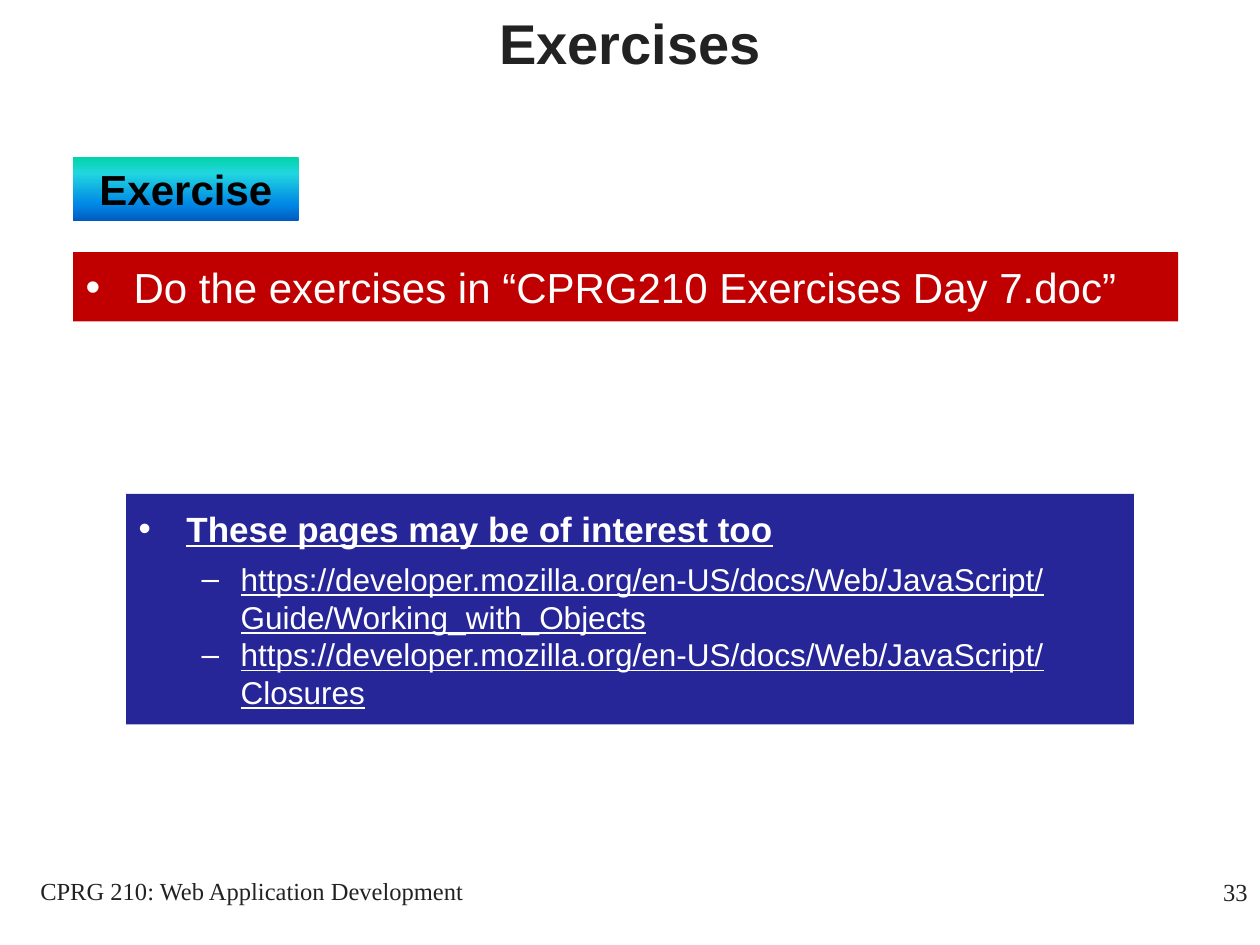
"""Build the exercises slide."""
from lxml import etree
from pptx import Presentation
from pptx.dml.color import RGBColor
from pptx.enum.shapes import MSO_SHAPE
from pptx.enum.text import MSO_ANCHOR, MSO_AUTO_SIZE, PP_ALIGN
from pptx.oxml.ns import qn
from pptx.util import Inches, Pt

RECT = MSO_SHAPE.RECTANGLE
TOP, MIDDLE = MSO_ANCHOR.TOP, MSO_ANCHOR.MIDDLE
FIXED = MSO_AUTO_SIZE.NONE
LEFT, CENTER, RIGHT = PP_ALIGN.LEFT, PP_ALIGN.CENTER, PP_ALIGN.RIGHT
WHITE = RGBColor(0xFF, 0xFF, 0xFF)
BLACK = RGBColor(0, 0, 0)
DARK = RGBColor(0x22, 0x22, 0x22)
RED = RGBColor(0xC0, 0, 0)
NAVY = RGBColor(0x26, 0x26, 0x99)
STOPS = [(0, "03D4A8"), (25, "21D6E0"), (75, "0087E6"), (100, "005CBF")]
DOCS = "https://developer.mozilla.org/en-US/docs/Web/JavaScript/"


class Deck:
    """Hold the style and the current slide."""

    sans, serif = "Arial", "Times New Roman"

    def __init__(self):
        self.file = Presentation()
        self.file.slide_width, self.file.slide_height = Inches(10), Inches(7.5)
        self.slide = self.file.slides.add_slide(self.file.slide_layouts[3])

    def place(self, shape, box, anchor):
        """Move a shape and prepare its text frame."""
        shape.left, shape.top, shape.width, shape.height = map(Inches, box)
        frame = shape.text_frame
        frame.word_wrap, frame.auto_size = True, FIXED
        frame.vertical_anchor = anchor
        return frame

    def add_text(self, para, text, size, color, align, font=sans, bold=False, under=False):
        """Add one styled run to a paragraph."""
        para.alignment = align
        run = para.add_run()
        run.text = text
        face = run.font
        face.name, face.size, face.bold, face.underline = font, Pt(size), bold, under
        face.color.rgb = color

    def title(self, text, box):
        """Fill the title placeholder."""
        frame = self.place(self.slide.shapes.title, box, MIDDLE)
        self.add_text(frame.paragraphs[0], text, 32, DARK, CENTER, bold=True)

    def bullets(self, slot, box, fill, items):
        """Fill a body placeholder with a bulleted list."""
        shape = self.slide.placeholders[slot]
        frame = self.place(shape, box, MIDDLE)
        shape.fill.solid()
        shape.fill.fore_color.rgb = fill
        for i, (level, text, size, bold, under) in enumerate(items):
            para = frame.add_paragraph() if i else frame.paragraphs[0]
            para.level = level
            mark, left, hang = [("•", 0.38, 0.38), ("–", 0.81, 0.31)][level]
            props = para._p.get_or_add_pPr()
            props.set("marL", str(Inches(left)))
            props.set("indent", str(-Inches(hang)))
            etree.SubElement(props, qn("a:buChar"), char=mark)
            para.space_before = Pt(0)
            para.space_after = Pt(0 if level or len(items) == 1 else 6)
            self.add_text(para, text, size, WHITE, LEFT, bold=bold, under=under)

    def label(self, text, box):
        """Add a gradient label."""
        shape = self.slide.shapes.add_shape(RECT, *map(Inches, box))
        shape.shadow.inherit = False
        shape.line.fill.background()
        shape.fill.gradient()
        shape.fill.gradient_angle = 270
        stops = shape._element.spPr.find(qn("a:gradFill")).find(qn("a:gsLst"))
        for stop in list(stops):
            stops.remove(stop)
        for pos, color in STOPS:
            stop = etree.SubElement(stops, qn("a:gs"), pos=str(pos * 1000))
            etree.SubElement(stop, qn("a:srgbClr"), val=color)
        frame = self.place(shape, box, TOP)
        self.add_text(frame.paragraphs[0], text, 24, BLACK, CENTER, bold=True)

    def note(self, text, box, align):
        """Add a footer text box."""
        shape = self.slide.shapes.add_textbox(*map(Inches, box))
        frame = self.place(shape, box, TOP)
        self.add_text(frame.paragraphs[0], text, 14, DARK, align, font=self.serif)


def main():
    """Compose and save the slide."""
    deck = Deck()
    deck.title("Exercises", (0, -0.29, 10, 1.25))
    deck.label("Exercise", (0.58, 1.25, 1.79, 0.5))
    deck.bullets(1, (0.58, 2, 8.77, 0.55), RED, [
        (0, "Do the exercises in “CPRG210 Exercises Day 7.doc”", 24, False, False),
    ])
    deck.bullets(2, (1, 3.92, 8, 1.83), NAVY, [
        (0, "These pages may be of interest too", 20, True, True),
        (1, DOCS + "Guide/Working_with_Objects", 18, False, True),
        (1, DOCS + "Closures", 18, False, True),
    ])
    deck.note("CPRG 210: Web Application Development", (0, 6.9, 4, 0.5), CENTER)
    deck.note("33", (7.92, 6.91, 2.08, 0.5), RIGHT)
    deck.file.save("out.pptx")


if __name__ == "__main__":
    main()
